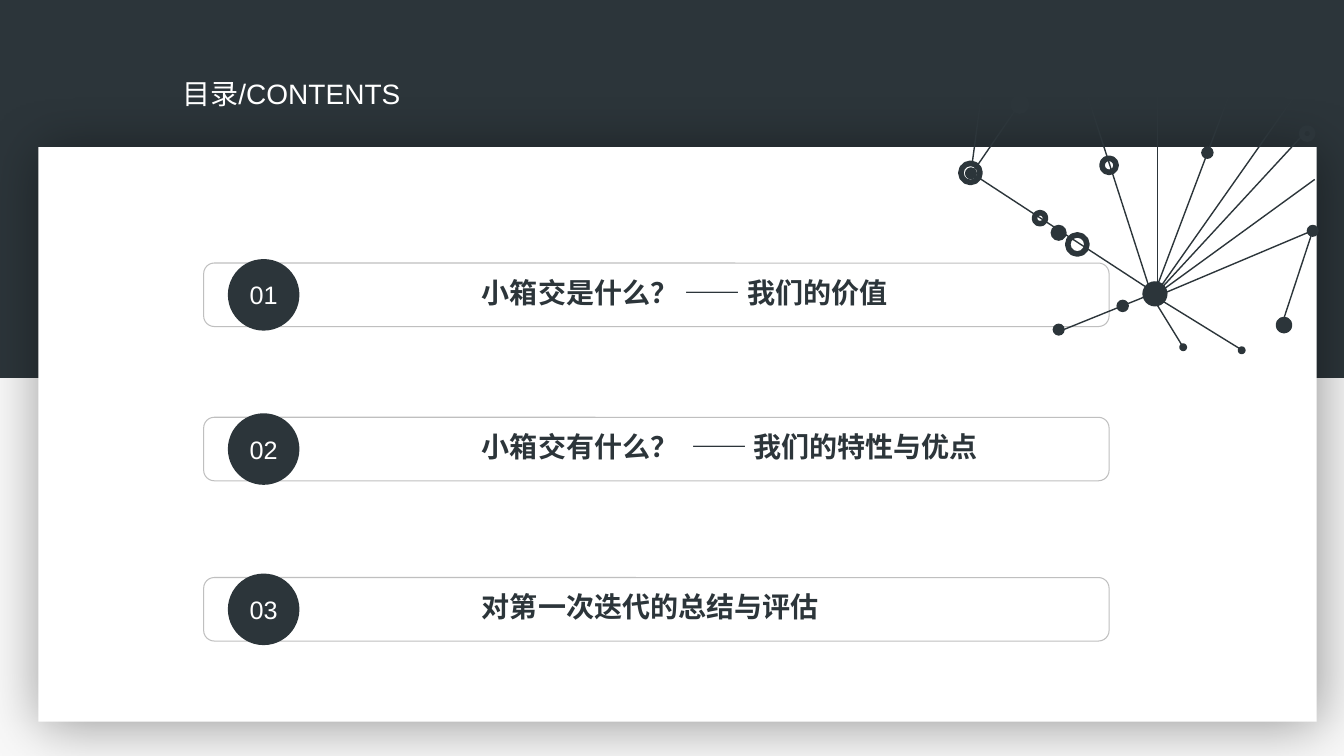
"""Build a contents slide with three numbered topics and a node network."""
from typing import NamedTuple

from lxml.etree import SubElement
from pptx import Presentation
from pptx.dml.color import RGBColor
from pptx.enum.shapes import MSO_CONNECTOR as Connector, MSO_SHAPE as Shape
from pptx.enum.text import MSO_ANCHOR as Anchor, MSO_AUTO_SIZE as AutoSize, PP_ALIGN as Align
from pptx.oxml.ns import qn
from pptx.util import Inches, Pt

COLORS = {"dark": "2C353A", "white": "FFFFFF", "back": "F8F8F8", "border": "BFBFBF", "shadow": "000000"}
FONT = "Arial"
CELL = Inches(0.1)
COLS, ROWS = 133.3, 75


class Topic(NamedTuple):
    number: str
    text: str
    row: float


class Node(NamedTuple):
    col: float
    row: float
    size: float
    filled: bool = True
    weight: float = 0


class Link(NamedTuple):
    col1: float
    row1: float
    col2: float
    row2: float


TOPICS = [
    Topic("01", "小箱交是什么？ —— 我们的价值", 26.1),
    Topic("02", "小箱交有什么？  —— 我们的特性与优点", 41.4),
    Topic("03", "对第一次迭代的总结与评估", 57.3),
]

NODES = [
    Node(110.8, 29.8, 1.1, True, 1), Node(119.2, 14.6, 1.1, True, 1),
    Node(95.7, 16.6, 1.2), Node(100.2, 9.4, 1.9), Node(113.3, 27.9, 2.5),
    Node(95.3, 16.2, 1.9, False, 4), Node(129.1, 12.7, 1.1, False, 4),
    Node(123.4, 3.2, 1.1, False, 4), Node(104.4, 32.1, 1.2),
    Node(102.6, 21.1, 1.1, False, 4), Node(129.6, 22.3, 1.2),
    Node(105.4, 2.9, 1.2), Node(104.2, 22.3, 1.6),
    Node(105.9, 23.3, 1.9, False, 4), Node(126.8, 31.7, 1.1, True, 4),
    Node(117.1, 34.2, 0.5, True, 2), Node(122.9, 34.5, 0.5, True, 2),
    Node(109.3, 15.7, 1.4, False, 4), Node(114.1, 1.8, 1.4, False, 4),
    Node(114.3, 4.2, 1),
]

LINKS = [
    Link(105.8, 3.5, 96.4, 17.2), Link(113.7, 28.5, 96.4, 17.2),
    Link(130.6, 22.7, 115.2, 29.2), Link(123.9, 4.2, 114.8, 28.3),
    Link(130.4, 6.7, 114.3, 29.6), Link(129.3, 13.3, 114.9, 28.9),
    Link(130.4, 17.8, 114.3, 29.5), Link(105.8, 3.1, 114.1, 28.9),
    Link(105, 32.9, 114.9, 28.9), Link(114.8, 3.5, 114.8, 29.6),
    Link(130.2, 22.9, 127.3, 31.7), Link(98.2, 2.9, 96.4, 16.4),
    Link(114.8, 30.3, 117.2, 34.2), Link(115.2, 29.8, 123.3, 34.8),
]


def cells(*values: float) -> list[int]:
    return [round(v * CELL) for v in values]


def color(name: str) -> RGBColor:
    return RGBColor.from_string(COLORS[name])


def add_box(shapes, kind, box: tuple, fill: str = "", line: str = "", weight: float = 0):
    sp = shapes.add_shape(kind, *cells(*box))
    sp.shadow.inherit = False
    if fill:
        sp.fill.solid()
        sp.fill.fore_color.rgb = color(fill)
    else:
        sp.fill.background()
    if line:
        sp.line.color.rgb = color(line)
        sp.line.width = Pt(weight)
    else:
        sp.line.fill.background()
    return sp


def write(sp, text: str, size: int, tint: str, align=Align.LEFT, bold: bool = False) -> None:
    p = sp.text_frame.paragraphs[0]
    p.text = text
    p.alignment = align
    p.font.name = FONT
    p.font.size = Pt(size)
    p.font.bold = bold
    p.font.color.rgb = color(tint)


def add_shadow(sp) -> None:
    effects = sp.element.spPr.find(qn("a:effectLst"))
    shadow = SubElement(effects, qn("a:outerShdw"), blurRad=str(Pt(42)), dist=str(Pt(3)),
                        dir=str(45 * 60000), algn="tl", rotWithShape="0")
    tint = SubElement(shadow, qn("a:srgbClr"), val=COLORS["shadow"])
    SubElement(tint, qn("a:alpha"), val="40000")


def add_title(s, text: str) -> None:
    title = s.shapes.title
    s.shapes.element.append(title.element)
    title.left, title.top, title.width, title.height = cells(16.3, 7.1, 25.2, 4.4)
    tf = title.text_frame
    tf.auto_size = AutoSize.NONE
    tf.vertical_anchor = Anchor.TOP
    write(title, text, 20, "white", Align.CENTER)


def add_topic(s, topic: Topic) -> None:
    shapes = s.shapes.add_group_shape().shapes
    add_box(shapes, Shape.ROUNDED_RECTANGLE, (20.2, topic.row, 89.8, 6.3), line="border", weight=0.75)
    badge = add_box(shapes, Shape.OVAL, (22.6, topic.row - 0.4, 7.1, 7.1), "dark")
    badge.text_frame.vertical_anchor = Anchor.MIDDLE
    write(badge, topic.number, 18, "white", Align.CENTER)
    label = shapes.add_textbox(*cells(47.8, topic.row + 1.2, 62.2, 3.4))
    tf = label.text_frame
    tf.word_wrap = True
    tf.margin_left = tf.margin_right = tf.margin_top = tf.margin_bottom = 0
    write(label, topic.text, 20, "dark", bold=True)


def add_node(s, node: Node) -> None:
    add_box(s.shapes, Shape.OVAL, (node.col, node.row, node.size, node.size),
            "dark" if node.filled else "", "dark" if node.weight else "", node.weight)


def add_link(s, link: Link) -> None:
    line = s.shapes.add_connector(Connector.STRAIGHT, *cells(*link))
    line.line.color.rgb = color("dark")
    line.line.width = Pt(1)
    SubElement(line.element.spPr, qn("a:effectLst"))


def main() -> None:
    prs = Presentation()
    prs.slide_width, prs.slide_height = cells(COLS, ROWS)
    s = prs.slides.add_slide(prs.slide_layouts[5])
    s.background.fill.solid()
    s.background.fill.fore_color.rgb = color("back")
    add_box(s.shapes, Shape.RECTANGLE, (0, 0, COLS, ROWS / 2), "dark")
    add_shadow(add_box(s.shapes, Shape.RECTANGLE, (3.8, 14.6, 126.8, 57), "white"))
    add_title(s, "目录/CONTENTS")
    for topic in TOPICS:
        add_topic(s, topic)
    for node in NODES:
        add_node(s, node)
    for link in LINKS:
        add_link(s, link)
    prs.save("out.pptx")


if __name__ == "__main__":
    main()
